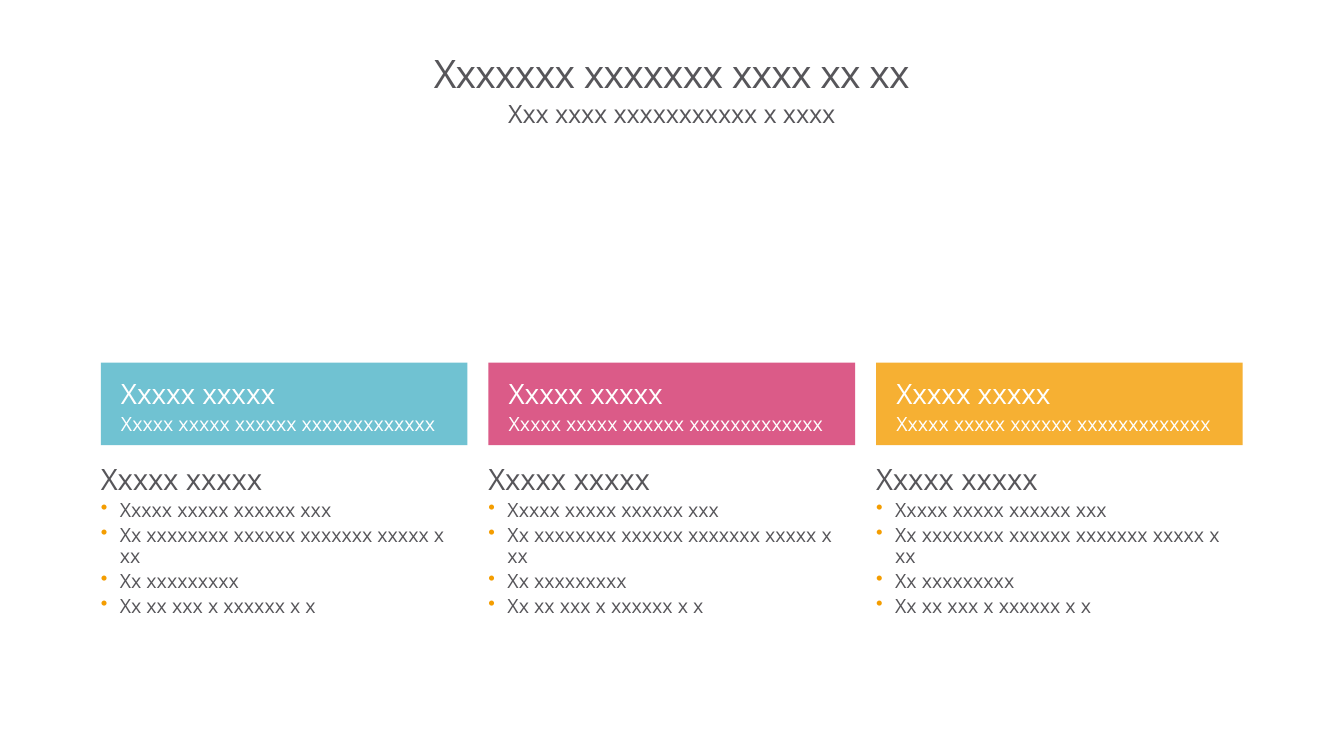
"""Build a slide with a title and three coloured columns of bullet points."""
from lxml import etree
from pptx import Presentation
from pptx.dml.color import RGBColor
from pptx.enum.shapes import MSO_SHAPE
from pptx.enum.text import MSO_ANCHOR, PP_ALIGN
from pptx.oxml.ns import qn
from pptx.util import Cm, Pt

RECT = MSO_SHAPE.RECTANGLE
TOP, MIDDLE, BOTTOM = MSO_ANCHOR.TOP, MSO_ANCHOR.MIDDLE, MSO_ANCHOR.BOTTOM
LEFT, CENTER = PP_ALIGN.LEFT, PP_ALIGN.CENTER

GREY = RGBColor(0x57, 0x56, 0x5A)
WHITE = RGBColor(0xFF, 0xFF, 0xFF)
BLUE = RGBColor(0x4D, 0xB3, 0xC7)
PINK = RGBColor(0xD2, 0x32, 0x6B)
ORANGE = RGBColor(0xF4, 0x9D, 0x00)

FONT = "Open Sans"
MARGIN, COL_W, COL_STEP = 2.54, 9.24, 9.77
FULL_W = 28.78
INDENT = Cm(0.48)

HEADING = "Xxxxx xxxxx"
SUMMARY = "Xxxxx xxxxx xxxxxx xxxxxxxxxxxxx"
POINTS = [
    "Xxxxx xxxxx xxxxxx xxx",
    "Xx xxxxxxxx xxxxxx xxxxxxx xxxxx x xx",
    "Xx xxxxxxxxx",
    "Xx xx xxx x xxxxxx x x",
]


def set_attrs(obj, values):
    """Set each named value on an object."""
    for name, value in values.items():
        setattr(obj, name, value)


def set_frame(sp, anchor, inset_x=0, inset_y=0):
    """Set wrapping, anchor and insets, and return the text frame."""
    tf = sp.text_frame
    set_attrs(tf, {
        "word_wrap": True, "vertical_anchor": anchor,
        "margin_left": Cm(inset_x), "margin_right": Cm(inset_x),
        "margin_top": Cm(inset_y), "margin_bottom": Cm(inset_y),
    })
    return tf


def add_bullet(p, color):
    """Give a paragraph a hanging coloured bullet."""
    pPr = p._p.get_or_add_pPr()
    pPr.set("marL", str(INDENT))
    pPr.set("indent", str(-INDENT))
    clr = etree.SubElement(pPr, qn("a:buClr"))
    etree.SubElement(clr, qn("a:srgbClr")).set("val", str(color))
    etree.SubElement(pPr, qn("a:buChar")).set("char", "•")


def add_line(tf, text, size, color, spacing=0, align=LEFT, line=0.9, bullet=None):
    """Write one paragraph, using the empty first one if it is free."""
    first = not tf.paragraphs[0].runs
    p = tf.paragraphs[0] if first else tf.add_paragraph()
    if bullet is not None:
        add_bullet(p, bullet)
    set_attrs(p, {"alignment": align, "line_spacing": line,
                  "space_before": Pt(0 if first else size * 0.2)})
    r = p.add_run()
    r.text = text
    set_attrs(r.font, {"name": FONT, "size": Pt(size)})
    r.font.color.rgb = color
    r._r.get_or_add_rPr().set("spc", str(spacing))


def add_box(s, left, top, width, height, anchor=TOP):
    """Add a text box without insets and return its text frame."""
    sp = s.shapes.add_textbox(Cm(left), Cm(top), Cm(width), Cm(height))
    return set_frame(sp, anchor)


def add_banner(s, left, color):
    """Add a translucent banner with a heading and a summary."""
    sp = s.shapes.add_shape(RECT, Cm(left), Cm(9.14), Cm(COL_W), Cm(2.08))
    sp.shadow.inherit = False
    sp.line.fill.background()
    sp.fill.solid()
    sp.fill.fore_color.rgb = color
    clr = sp._element.spPr.find(qn("a:solidFill"))[0]
    etree.SubElement(clr, qn("a:alpha")).set("val", "80000")
    tf = set_frame(sp, BOTTOM, 0.51, 0.25)
    add_line(tf, HEADING, 20, WHITE, -10)
    add_line(tf, SUMMARY, 14, WHITE)


def add_points(s, left):
    """Add a heading with its bullet points."""
    tf = add_box(s, left, 11.71, COL_W, 4.85)
    add_line(tf, HEADING, 21, GREY, -10)
    for text in POINTS:
        add_line(tf, text, 14, GREY, bullet=ORANGE)


def main():
    """Build and save the slide."""
    prs = Presentation()
    set_attrs(prs, {"slide_width": Cm(33.87), "slide_height": Cm(19.05)})
    s = prs.slides.add_slide(prs.slide_layouts[6])
    tf = add_box(s, MARGIN, 0.79, FULL_W, 2.26, MIDDLE)
    add_line(tf, "Xxxxxxx xxxxxxx xxxx xx xx", 28, GREY, -50, CENTER, 0.86)
    tf = add_box(s, MARGIN, 2.59, FULL_W, 1.12)
    add_line(tf, "Xxx xxxx xxxxxxxxxxx x xxxx", 18, GREY, -10, CENTER, 0.86)
    for i, color in enumerate((BLUE, PINK, ORANGE)):
        left = MARGIN + i * COL_STEP
        add_banner(s, left, color)
        add_points(s, left)
    prs.save("out.pptx")


if __name__ == "__main__":
    main()
